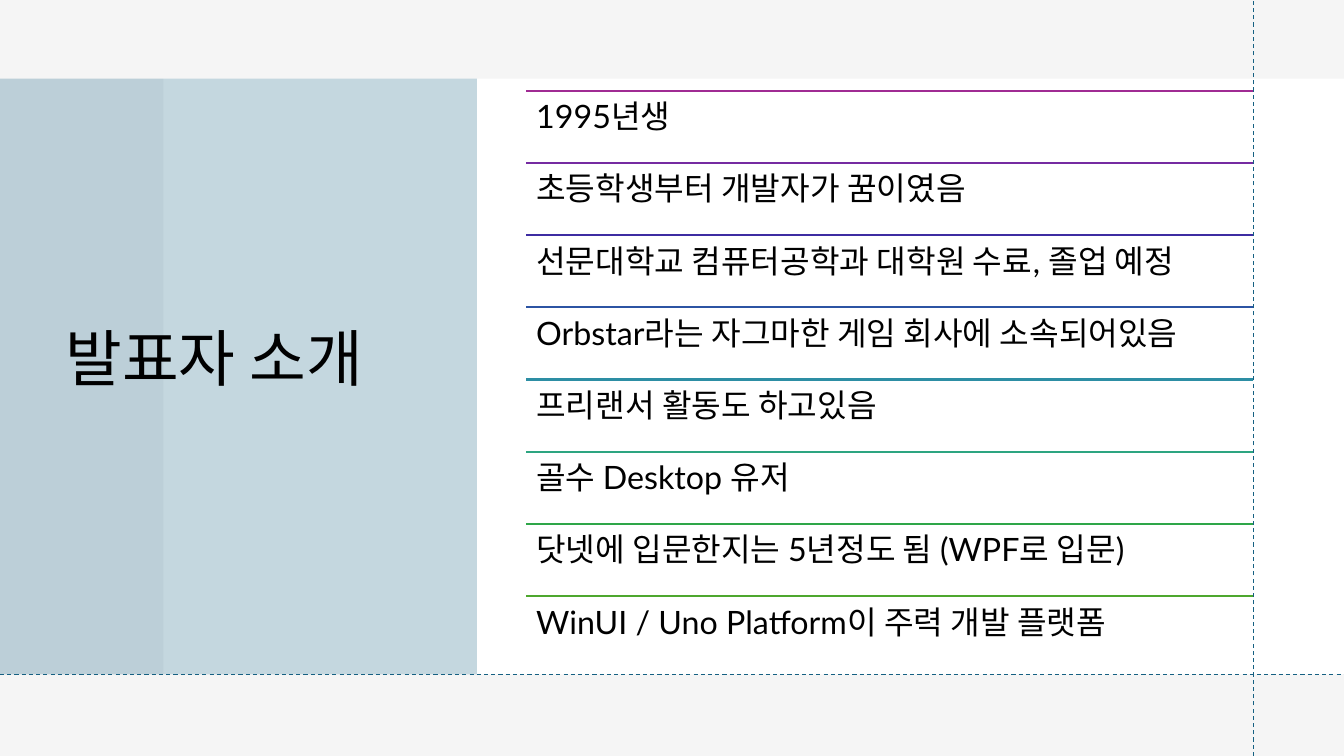
from lxml import etree
from pptx import Presentation
from pptx.dml.color import RGBColor
from pptx.enum.dml import MSO_LINE
from pptx.enum.shapes import MSO_CONNECTOR, MSO_SHAPE
from pptx.enum.text import MSO_ANCHOR, MSO_AUTO_SIZE, PP_ALIGN
from pptx.oxml.ns import qn
from pptx.util import Inches, Pt

STRAIGHT, RECT, DASH = MSO_CONNECTOR.STRAIGHT, MSO_SHAPE.RECTANGLE, MSO_LINE.DASH
TOP, MIDDLE, LEFT = MSO_ANCHOR.TOP, MSO_ANCHOR.MIDDLE, PP_ALIGN.LEFT
NO_FIT = MSO_AUTO_SIZE.NONE

# Content
TITLE = "발표자 소개"
ITEMS = [
    ("1995년생", RGBColor(0xA0, 0x2B, 0x93)),
    ("초등학생부터 개발자가 꿈이였음", RGBColor(0x75, 0x2B, 0xA1)),
    ("선문대학교 컴퓨터공학과 대학원 수료, 졸업 예정", RGBColor(0x3D, 0x2C, 0xA2)),
    ("Orbstar라는 자그마한 게임 회사에 소속되어있음", RGBColor(0x2C, 0x54, 0xA3)),
    ("프리랜서 활동도 하고있음", RGBColor(0x2D, 0x8E, 0xA4)),
    ("골수 Desktop 유저", RGBColor(0x2D, 0xA5, 0x81)),
    ("닷넷에 입문한지는 5년정도 됨 (WPF로 입문)", RGBColor(0x2E, 0xA6, 0x48)),
    ("WinUI / Uno Platform이 주력 개발 플랫폼", RGBColor(0x4E, 0xA7, 0x2E)),
]

# Format
FONT = "Lato"
BLACK = RGBColor(0, 0, 0)
WHITE = RGBColor(0xFF, 0xFF, 0xFF)
PALE_GRAY = RGBColor(0xF5, 0xF5, 0xF5)
TEAL = RGBColor(0x15, 0x60, 0x82)

# Layout in inches
WIDTH, HEIGHT = 13.33, 7.5
BAND_TOP, BAND_BOTTOM = 0.78, 6.69
BAND_LEFT, PANEL_RIGHT = 1.62, 4.73
LIST_LEFT, LIST_RIGHT = 5.22, 12.43
LIST_TOP, LIST_BOTTOM = 0.9, 6.63
ROW_HEIGHT = (LIST_BOTTOM - LIST_TOP) / len(ITEMS)

prs = Presentation()
prs.slide_width, prs.slide_height = Inches(WIDTH), Inches(HEIGHT)
s = prs.slides.add_slide(prs.slide_layouts[5])
s.background.fill.solid()
s.background.fill.fore_color.rgb = PALE_GRAY


def add_block(left, right, color, alpha=100):
    sp = s.shapes.add_shape(RECT, Inches(left), Inches(BAND_TOP),
                            Inches(right - left), Inches(BAND_BOTTOM - BAND_TOP))
    sp.shadow.inherit = False
    sp.fill.solid()
    sp.fill.fore_color.rgb = color
    sp.line.fill.background()
    if alpha < 100:
        clr = sp.fill._xPr.find(qn("a:solidFill"))[0]
        etree.SubElement(clr, qn("a:alpha")).set("val", str(alpha * 1000))


def add_line(x1, y1, x2, y2, color, width, dash=None):
    line = s.shapes.add_connector(STRAIGHT, *map(Inches, (x1, y1, x2, y2)))
    for name, value in {"width": Pt(width), "dash_style": dash}.items():
        setattr(line.line, name, value)
    line.line.color.rgb = color
    etree.SubElement(line._element.spPr, qn("a:effectLst"))


def write(sp, text, size, anchor):
    tf = sp.text_frame
    tf.text = text
    frame = {"word_wrap": True, "auto_size": NO_FIT, "vertical_anchor": anchor}
    frame.update({f"margin_{side}": Inches(0.1)
                  for side in ("left", "right", "top", "bottom")})
    for name, value in frame.items():
        setattr(tf, name, value)
    p = tf.paragraphs[0]
    p.alignment, p.line_spacing = LEFT, 0.9
    font = p.runs[0].font
    font.name, font.size, font.color.rgb = FONT, Pt(size), BLACK


# White band and tinted title panel
add_block(BAND_LEFT, WIDTH, WHITE)
add_block(0, PANEL_RIGHT, TEAL, alpha=25)

# Title, brought in front of the panel
title = s.shapes.title
title.left, title.top, title.width, title.height = map(Inches, (0.55, 0.74, 3.95, 5.69))
write(title, TITLE, 44, MIDDLE)
s.shapes._spTree.append(title._element)

# Dashed guides
add_line(LIST_RIGHT, HEIGHT, LIST_RIGHT, 0, TEAL, 0.75, DASH)
add_line(0, BAND_BOTTOM, WIDTH, BAND_BOTTOM, TEAL, 0.75, DASH)

# Ruled list
for i, (text, color) in enumerate(ITEMS):
    y = LIST_TOP + i * ROW_HEIGHT
    add_line(LIST_LEFT, y, LIST_RIGHT, y, color, 1.5)
    row = s.shapes.add_textbox(Inches(LIST_LEFT), Inches(y),
                               Inches(LIST_RIGHT - LIST_LEFT), Inches(ROW_HEIGHT))
    write(row, text, 23, TOP)

prs.save("out.pptx")
